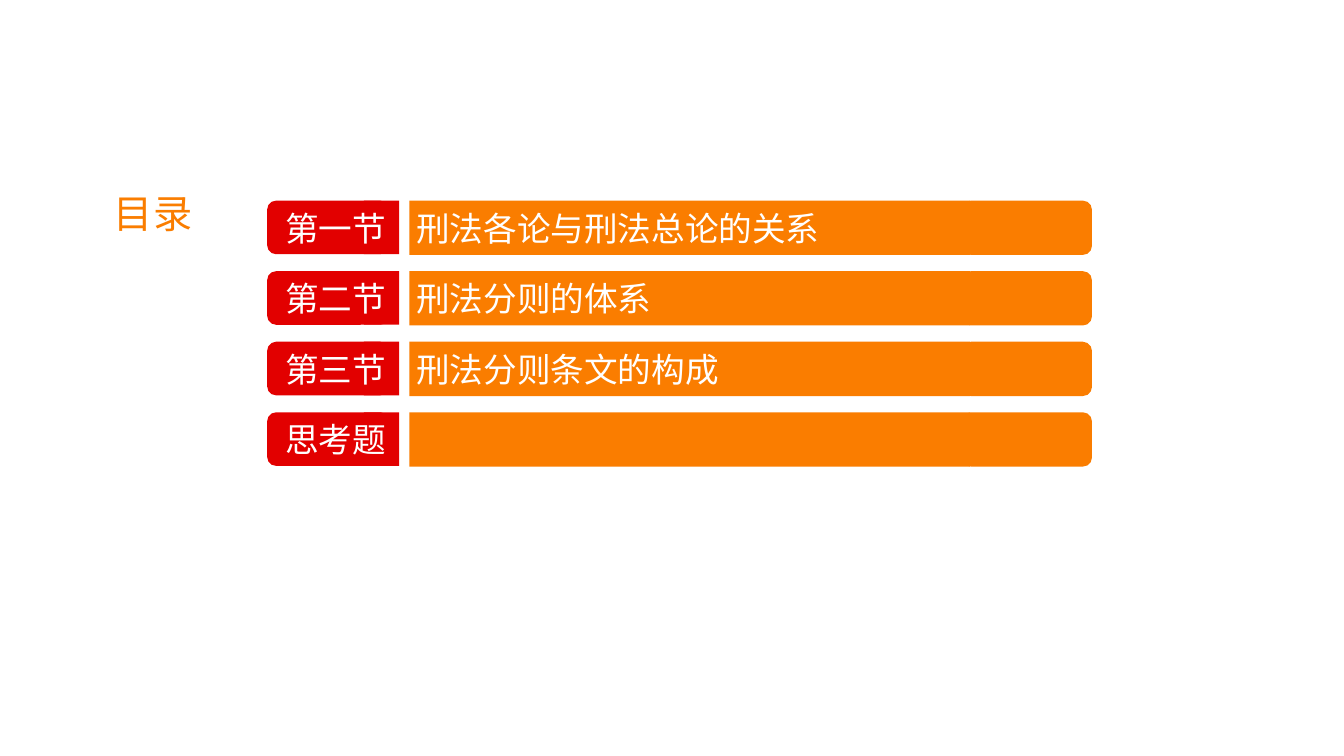
from lxml.etree import SubElement
from pptx import Presentation
from pptx.dml.color import RGBColor
from pptx.enum.shapes import MSO_SHAPE as SHAPE
from pptx.enum.text import MSO_ANCHOR as ANCHOR, MSO_AUTO_SIZE as FIT, PP_ALIGN as ALIGN
from pptx.oxml.ns import qn
from pptx.util import Inches

WIDTH, HEIGHT = 13.33, 7.5
COL, ROW, TOP = WIDTH / 100, 0.7, 1.99
FONT = "Noto Sans CJK SC"
ORANGE, RED, WHITE = "FA7D00", "E20000", "FFFFFF"
SECTIONS = [
    ("第一节", "刑法各论与刑法总论的关系"),
    ("第二节", "刑法分则的体系"),
    ("第三节", "刑法分则条文的构成"),
    ("思考题", ""),
]


def rgb(color):
    return RGBColor.from_string(color)


def write(tf, text, size=24, color=WHITE, wrap=True, tab=None):
    tf.word_wrap, tf.auto_size, tf.vertical_anchor = wrap, FIT.NONE, ANCHOR.TOP
    p = tf.paragraphs[0]
    p.alignment = ALIGN.LEFT
    if tab:
        tabs = SubElement(p._p.get_or_add_pPr(), qn("a:tabLst"))
        SubElement(tabs, qn("a:tab"), pos=str(Inches(tab)), algn="l")
    r = p.add_run()
    r.text = text
    r.font.size = Inches(size / 72)
    r.font.color.rgb = rgb(color)
    r.font.name = FONT
    SubElement(r._r.get_or_add_rPr(), qn("a:ea"), typeface=FONT)


class Contents:
    """Draws a contents slide on a grid of 100 columns and section rows."""

    def __init__(self, prs):
        self.s = prs.slides.add_slide(prs.slide_layouts[5])

    def box(self, col, row, cols, rows):
        return (Inches(col * COL), Inches(TOP + row * ROW),
                Inches(cols * COL), Inches(rows * ROW))

    def title(self, text, *place):
        sp = self.s.shapes.title
        sp.left, sp.top, sp.width, sp.height = self.box(*place)
        write(sp.text_frame, text, size=28, color=ORANGE, wrap=False)

    def block(self, kind, color, *place):
        sp = self.s.shapes.add_shape(kind, *self.box(*place))
        sp.shadow.inherit = False
        sp.fill.solid()
        sp.fill.fore_color.rgb = rgb(color)
        sp.line.fill.background()

    def label(self, text, *place):
        sp = self.s.shapes.add_textbox(*self.box(*place))
        write(sp.text_frame, text, tab=1.3)

    def section(self, row, number, name):
        self.block(SHAPE.ROUNDED_RECTANGLE, ORANGE, 71.57, row, 9.68, 0.77)
        self.block(SHAPE.ROUNDED_RECTANGLE, RED, 19.88, row, 9.08, 0.76)
        self.block(SHAPE.RECTANGLE, RED, 27.08, row, 2.63, 0.76)
        self.block(SHAPE.RECTANGLE, ORANGE, 30.46, row, 41.71, 0.77)
        text = f"{number}\t{name}" if name else number
        self.label(text, 20.48, row + 0.03, 49.74, 0.71)


def main():
    prs = Presentation()
    prs.slide_width, prs.slide_height = Inches(WIDTH), Inches(HEIGHT)
    contents = Contents(prs)
    contents.title("目录", 7.73, -0.23, 7.43, 0.81)
    for row, (number, name) in enumerate(SECTIONS):
        contents.section(row, number, name)
    prs.save("out.pptx")


if __name__ == "__main__":
    main()
